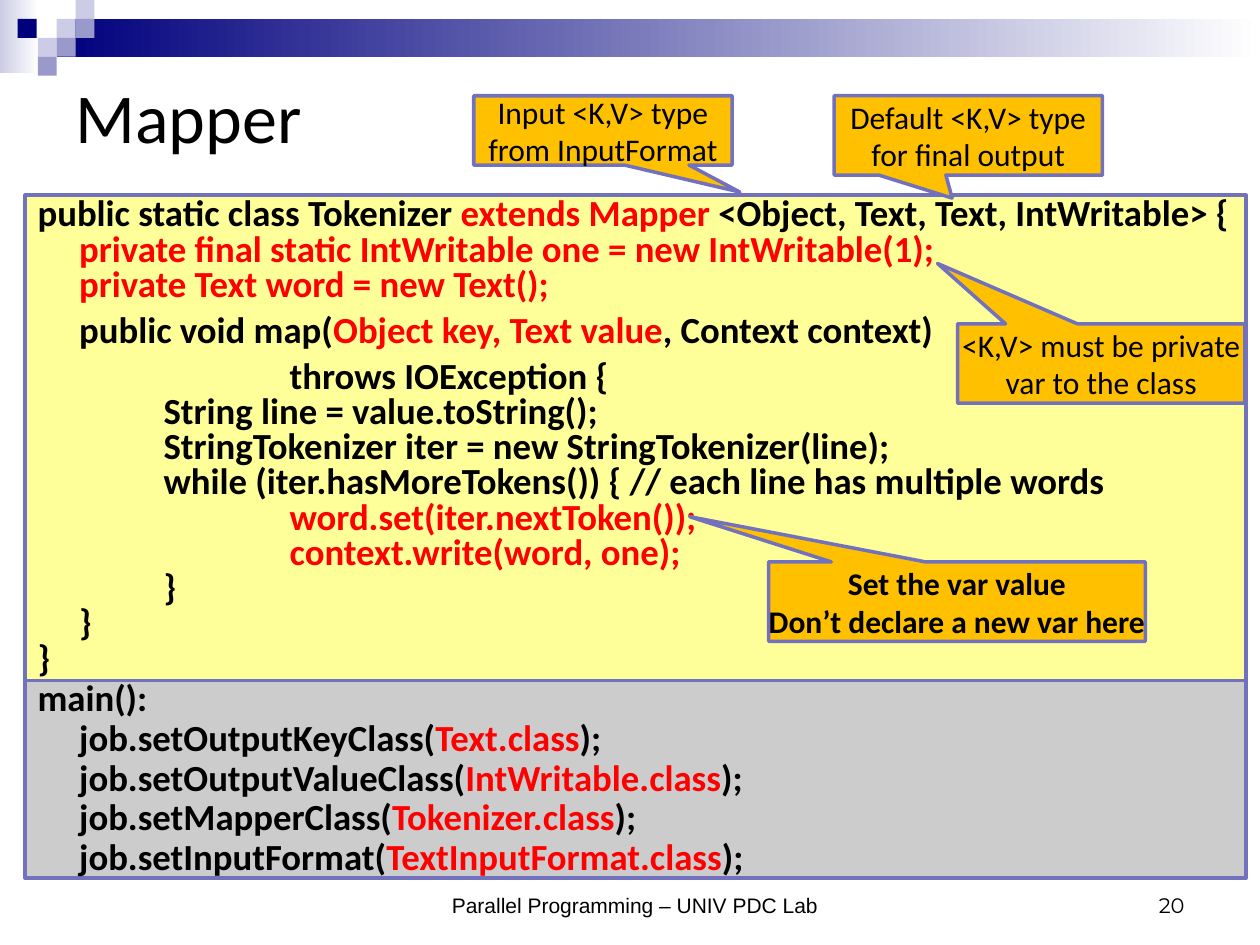
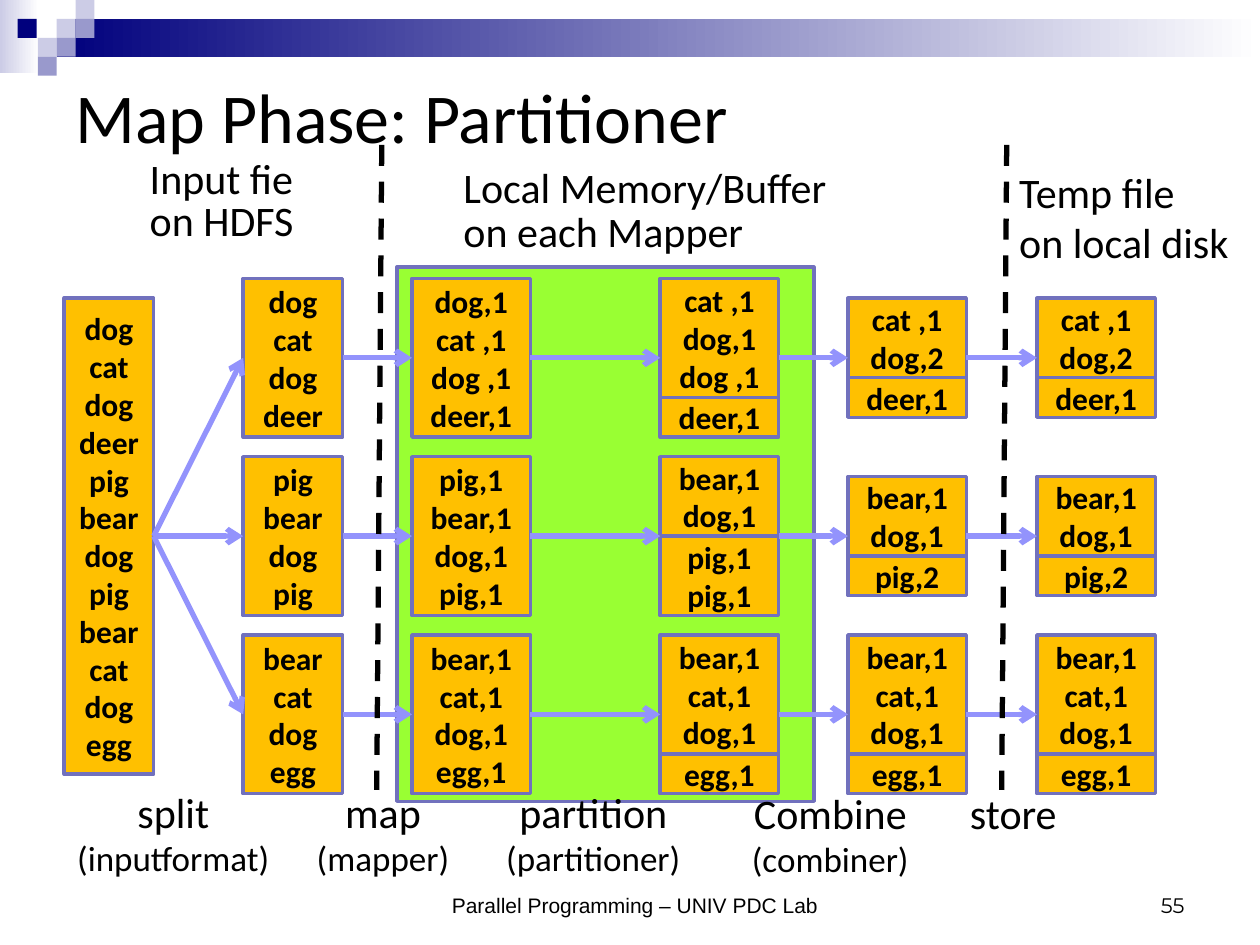
from lxml import etree
from pptx import Presentation
from pptx import util as u
from pptx.dml.color import RGBColor
from pptx.enum import dml, shapes, text
from pptx.oxml.ns import qn

BLACK, RED, WHITE = "000000", "FF0000", "FFFFFF"
NAVY, LILAC, PALE = "00007D", "9999CC", "CCCCE6"
ORANGE, OUTLINE, ARROW = "FFC000", "7171BD", "9393FC"
BODY = "Calibri"
FOOTER = "Parallel Programming – UNIV PDC Lab"
LEFT, CENTER, RIGHT = (text.PP_ALIGN.LEFT, text.PP_ALIGN.CENTER,
                       text.PP_ALIGN.RIGHT)
TOP, MIDDLE, BOTTOM = (text.MSO_ANCHOR.TOP, text.MSO_ANCHOR.MIDDLE,
                       text.MSO_ANCHOR.BOTTOM)

# Header squares: left, top, colour
SQUARES = [
    (0.45, 0.15, PALE), (0.6, 0, PALE), (0.6, 0.15, LILAC), (0.3, 0.3, PALE),
    (0.14, 0.15, NAVY), (0.45, 0.3, LILAC), (0.3, 0.45, LILAC),
]

# Code lines: left indent in inches, space before in points, text (|red|)
MAPPER_CODE = [
    (0, 0, "public static class Tokenizer |extends Mapper |"
           "<Object, Text, Text, IntWritable> {"),
    (0.33, 0, "|private final static IntWritable one = new IntWritable(1);"),
    (0.33, 0, "|private Text word = new Text();"),
    (0.33, 6, "public void map(|Object key, Text value|, Context context)"),
    (2, 6, "throws IOException {"),
    (1, 0, "String line = value.toString();"),
    (1, 0, "StringTokenizer iter = new StringTokenizer(line);"),
    (1, 0, "while (iter.hasMoreTokens()) { // each line has multiple words"),
    (2, 0, "|word.set(iter.nextToken());"),
    (2, 0, "|context.write(word, one);"),
    (1, 0, "}"),
    (0.33, 0, "}"),
    (0, 0, "}"),
]
MAIN_CODE = [
    (0, 0, "main():"),
    (0.33, 0, "job.setOutputKeyClass(|Text.class|);"),
    (0.33, 0, "job.setOutputValueClass(|IntWritable.class|);"),
    (0.33, 0, "job.setMapperClass(|Tokenizer.class|);"),
    (0.33, 0, "job.setInputFormat(|TextInputFormat.class|);"),
]

# Partitioner diagram: every text line takes the same height in a box
LINE_H = 1.26 / 4
ROW_YS = [2.84 + i * 2.83 / 2 for i in range(3)]
SOURCE = (0.51, 0.71, "dog cat dog deer pig bear dog pig bear cat dog egg")
COMBINED = ["cat ,1/dog,2//deer,1", "bear,1/dog,1//pig,2",
            "bear,1/cat,1/dog,1//egg,1"]
# Stage columns: left, width, one stack per row (/ new line, // new box)
STAGES = [
    (1.93, 0.79, ["dog/cat/dog/deer", "pig/bear/dog/pig", "bear/cat/dog/egg"]),
    (3.27, 0.94, ["dog,1/cat ,1/dog ,1/deer,1", "pig,1/bear,1/dog,1/pig,1",
                  "bear,1/cat,1/dog,1/egg,1"]),
    (5.24, 0.94, ["cat ,1/dog,1/dog ,1//deer,1", "bear,1/dog,1//pig,1/pig,1",
                  "bear,1/cat,1/dog,1//egg,1"]),
    (6.73, 0.94, COMBINED),
    (8.23, 0.94, COMBINED),
]
# Step captions: left, top, width, step, component
STEPS = [
    (0.35, 6.19, 2.05, "split", "(inputformat)"),
    (2.24, 6.19, 1.6, "map", "(mapper)"),
    (3.43, 6.19, 2.56, "partition", "(partitioner)"),
    (5.79, 6.2, 1.6, "Combine", "(combiner)"),
]


def rgb(hex_colour):
    return RGBColor.from_string(hex_colour)


def inches(*lengths):
    return [u.Inches(n) for n in lengths]


def write(sp, lines, size, align=CENTER, anchor=MIDDLE, bold=False, font=BODY,
          spacing=None, inset=None):
    """Fill a shape with one paragraph per line; | switches to red and back."""
    tf = sp.text_frame
    tf.word_wrap = True
    tf.auto_size = text.MSO_AUTO_SIZE.NONE
    tf.vertical_anchor = anchor
    if inset is not None:
        tf.margin_left = tf.margin_right = u.Inches(inset)
        tf.margin_top = tf.margin_bottom = u.Inches(inset)
    for i, line in enumerate(lines):
        p = tf.add_paragraph() if i else tf.paragraphs[0]
        p.alignment = align
        if spacing:
            p.line_spacing = spacing
        for j, part in enumerate(line.split("|")):
            if not part:
                continue
            r = p.add_run()
            r.text = part
            r.font.name, r.font.size, r.font.bold = font, u.Pt(size), bold
            r.font.color.rgb = rgb(RED if j % 2 else BLACK)
    return tf


def add_box(s, x, y, w, h, fill, outline=OUTLINE,
            kind=shapes.MSO_SHAPE.RECTANGLE):
    sp = s.shapes.add_shape(kind, *inches(x, y, w, h))
    sp.shadow.inherit = False
    sp.fill.solid()
    sp.fill.fore_color.rgb = rgb(fill)
    if outline:
        sp.line.color.rgb = rgb(outline)
        sp.line.width = u.Pt(2)
    else:
        sp.line.fill.background()
    return sp


def add_fade(s, x, y, w, h, colour):
    """Band fading from a colour on the left to white."""
    sp = add_box(s, x, y, w, h, colour, None)
    sp.fill.gradient()
    sp.fill.gradient_angle = 0
    for stop, c in zip(sp.fill.gradient_stops, (colour, WHITE)):
        stop.color.rgb = rgb(c)


def add_label(s, x, y, w, h, lines, size=24, **style):
    tb = s.shapes.add_textbox(*inches(x, y, w, h))
    return write(tb, lines, size, **style)


def add_line(s, x1, y1, x2, y2, colour):
    ln = s.shapes.add_connector(shapes.MSO_CONNECTOR.STRAIGHT,
                                *inches(x1, y1, x2, y2))
    ln.line.color.rgb = rgb(colour)
    ln.line.width = u.Pt(3)
    etree.SubElement(ln._element.spPr, qn("a:effectLst"))
    return ln


def add_arrow(s, x1, y1, x2, y2):
    ln = add_line(s, x1, y1, x2, y2, ARROW)
    etree.SubElement(ln.line._get_or_add_ln(), qn("a:tailEnd"), type="arrow")


def add_divider(s, x1, x2):
    ln = add_line(s, x1, 1.15, x2, 6.27, BLACK)
    ln.line.dash_style = dml.MSO_LINE.DASH


def add_callout(s, x, y, w, h, tip, lines, **style):
    sp = add_box(s, x, y, w, h, ORANGE,
                 kind=shapes.MSO_SHAPE.RECTANGULAR_CALLOUT)
    sp.adjustments[0], sp.adjustments[1] = tip
    write(sp, lines, 18, **style)


def add_code(s, y, h, fill, code, spacing):
    sp = add_box(s, 0.2, y, 9.69, h, fill)
    tf = write(sp, [line for _, _, line in code], 21, align=LEFT, bold=True,
               spacing=spacing)
    for p, (indent, before, _) in zip(tf.paragraphs, code):
        p._p.get_or_add_pPr().set("marL", str(u.Inches(indent)))
        p.space_before = u.Pt(before)


def add_stack(s, x, w, mid, stack):
    """Boxes on top of each other, centred on the height mid."""
    boxes = [part.split("/") for part in stack.split("//")]
    y = mid - LINE_H * sum(map(len, boxes)) / 2
    for lines in boxes:
        h = LINE_H * len(lines)
        write(add_box(s, x, y, w, h, ORANGE), lines, 18, bold=True)
        y += h


def add_slide(prs, title, number):
    """Title-only slide with the header band, footer and number."""
    s = prs.slides.add_slide(prs.slide_layouts[5])
    add_fade(s, 0, 0, 0.31, 0.58, PALE)
    add_fade(s, 0.45, 0.15, 9.55, 0.3, NAVY)
    for x, y, colour in SQUARES:
        add_box(s, x, y, 0.15, 0.15, colour, None)
    head = s.shapes.title
    head.left, head.top, head.width, head.height = inches(0.5, 0.5, 9, 0.83)
    write(head, [title], 40, align=LEFT)
    add_label(s, 3.08, 6.83, 3.92, 0.5, [FOOTER], 12, anchor=BOTTOM,
              font="Arial")
    add_label(s, 7.17, 6.83, 2.33, 0.5, [number], 12, align=RIGHT,
              anchor=BOTTOM, font="Montserrat")
    return s


def build_mapper(prs):
    s = add_slide(prs, "Mapper", "20")
    add_code(s, 1.55, 3.86, "FFFF99", MAPPER_CODE, 0.8)
    add_code(s, 5.4, 1.57, "CCCCCC", MAIN_CODE, 0.9)
    add_callout(s, 3.76, 0.76, 2.05, 0.55, (0.53, 0.89),
                ["Input <K,V> type", "from InputFormat"])
    add_callout(s, 6.62, 0.76, 2.13, 0.63, (-0.06, 0.79),
                ["Default <K,V> type", "for final output"])
    add_callout(s, 7.6, 2.57, 2.28, 0.63, (-0.57, -1.26),
                ["<K,V> must be private", "var to the class"], inset=0)
    add_callout(s, 6.1, 4.46, 2.99, 0.63, (-0.71, -1.07),
                ["Set the var value", "Don’t declare a new var here"],
                inset=0, bold=True)


def build_partitioner(prs):
    s = add_slide(prs, "Map Phase: Partitioner", "55")
    add_box(s, 3.15, 2.12, 3.31, 4.24, "99FF33")

    x, w, words = SOURCE
    add_stack(s, x, w, ROW_YS[1], words.replace(" ", "/"))
    right = x + w
    starts = [ROW_YS[1]] * 3
    for x, w, stacks in STAGES:
        for start, mid, stack in zip(starts, ROW_YS, stacks):
            add_stack(s, x, w, mid, stack)
            add_arrow(s, right, start, x, mid)
        right, starts = x + w, ROW_YS

    for x, y, w, step, component in STEPS:
        tf = add_label(s, x, y, w, 0.84, [step, component], anchor=TOP)
        tf.paragraphs[1].runs[0].font.size = u.Pt(20)
    add_label(s, 7.6, 6.2, 1.1, 0.5, ["store"], align=LEFT, anchor=TOP)

    add_label(s, 1.09, 1.23, 1.47, 0.78, ["Input fie", "on HDFS"],
              align=LEFT, anchor=TOP, spacing=u.Pt(24))
    add_label(s, 3.58, 1.29, 3.22, 0.8,
              ["Local Memory/Buffer", "on each Mapper"],
              align=LEFT, anchor=TOP, spacing=u.Pt(24.8))
    add_label(s, 7.99, 1.27, 2, 0.91, ["Temp file", "on local disk"],
              align=LEFT, anchor=TOP)
    add_divider(s, 3.03, 2.99)
    add_divider(s, 7.99, 7.95)


def main():
    prs = Presentation()
    prs.slide_width, prs.slide_height = inches(10, 7.5)
    build_mapper(prs)
    build_partitioner(prs)
    prs.save("out.pptx")


if __name__ == "__main__":
    main()
